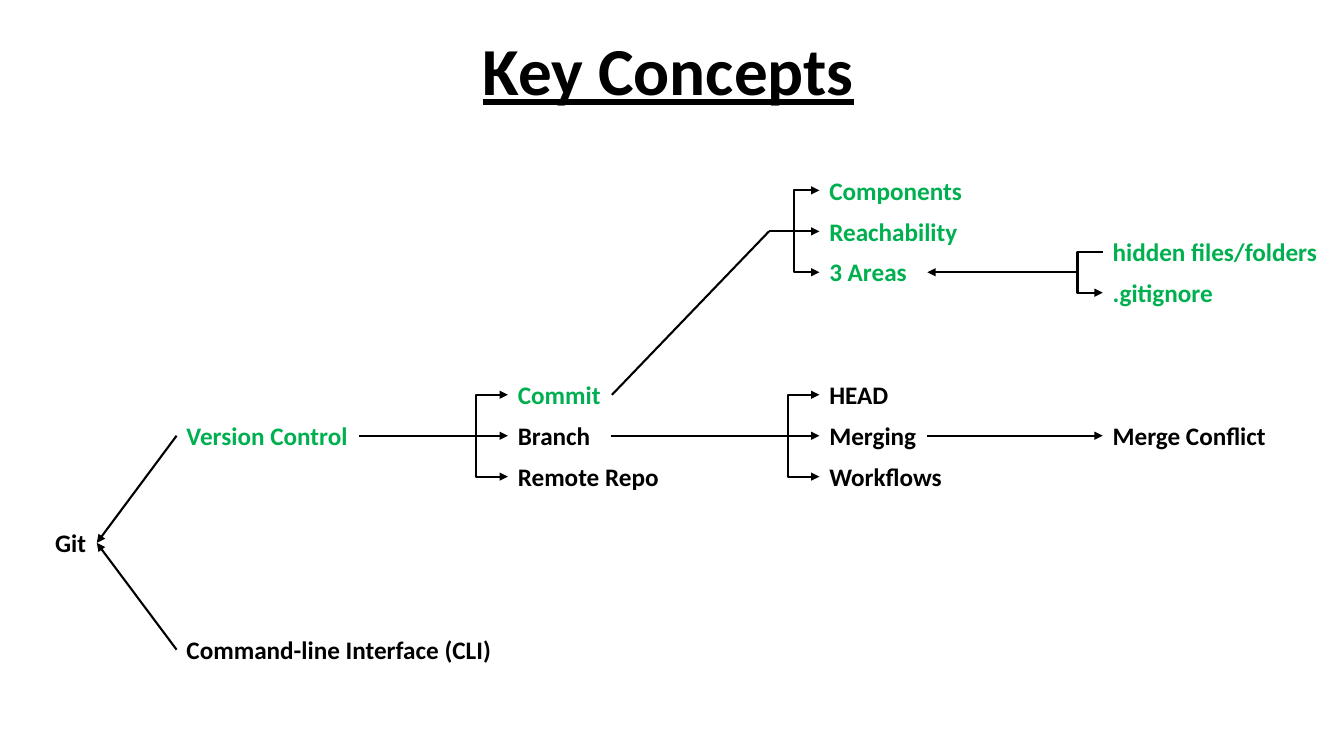
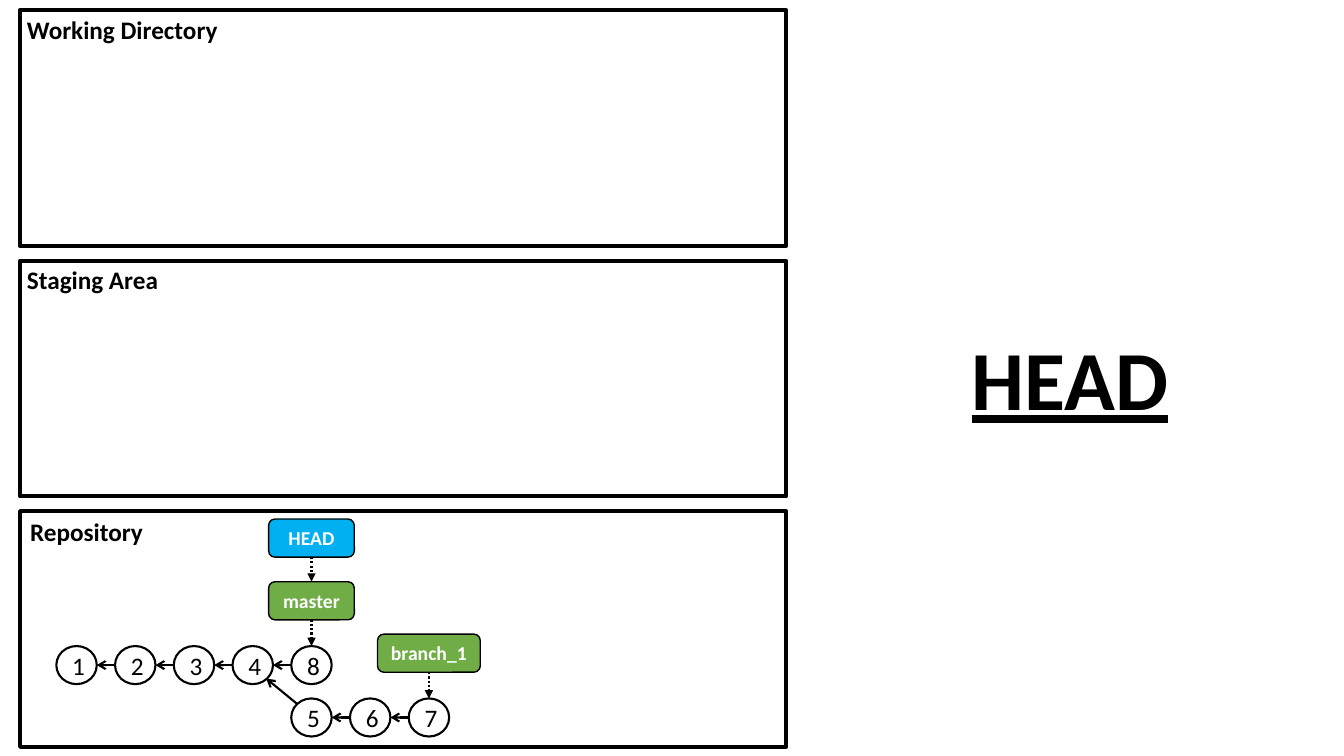
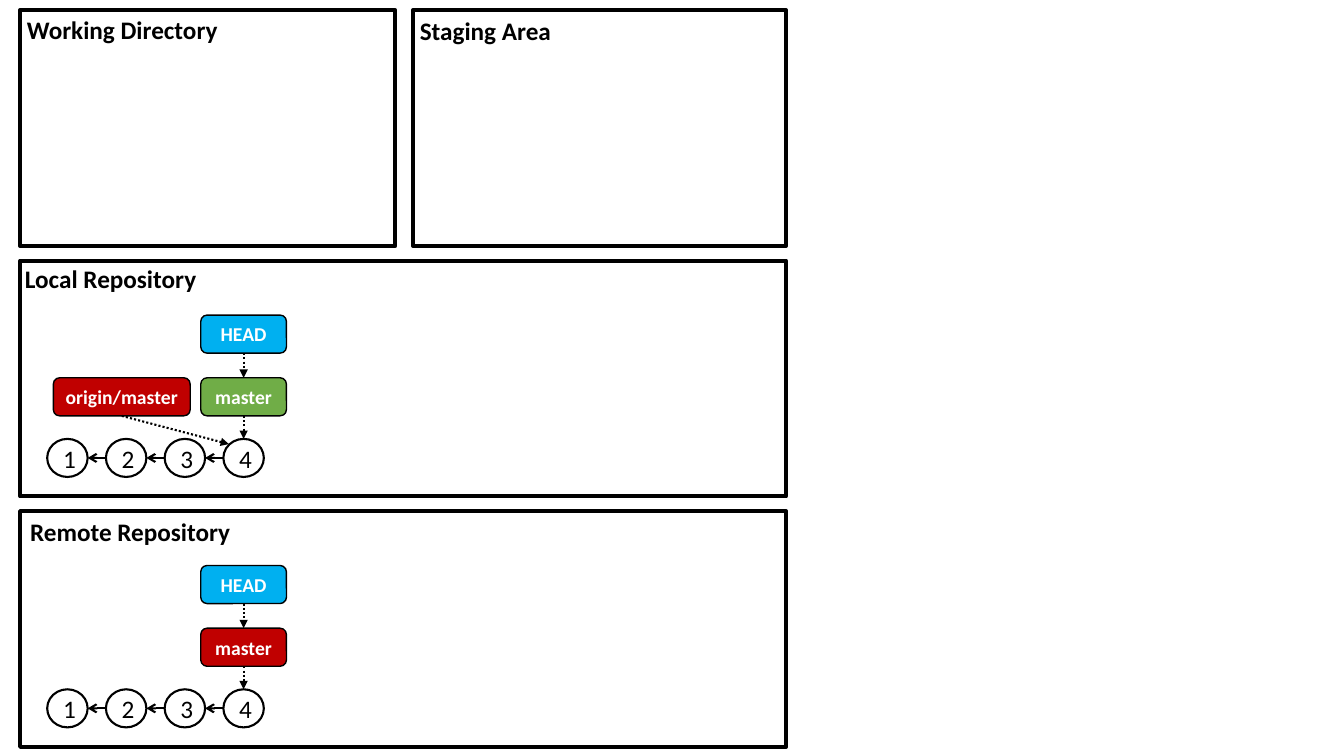
from typing import NamedTuple

from lxml.etree import SubElement
from pptx import Presentation
from pptx.dml.color import RGBColor
from pptx.enum.dml import MSO_LINE
from pptx.enum.shapes import MSO_CONNECTOR as LINK, MSO_SHAPE as SHAPE
from pptx.enum.text import MSO_ANCHOR as ANCHOR, MSO_AUTO_SIZE as AUTO_SIZE, PP_ALIGN as ALIGN
from pptx.oxml.ns import qn
from pptx.util import Cm, Pt

BLACK = RGBColor(0x00, 0x00, 0x00)
WHITE = RGBColor(0xFF, 0xFF, 0xFF)
DONE_GREEN = RGBColor(0x00, 0xB0, 0x50)
HEAD_BLUE = RGBColor(0x00, 0xB0, 0xF0)
BRANCH_GREEN = RGBColor(0x70, 0xAD, 0x47)
REMOTE_RED = RGBColor(0xC0, 0x00, 0x00)

FONT = "Calibri"
TITLE_ONLY, BLANK = 5, 6

# All lengths below are in centimetres
LABEL_H = 1.03
COMMIT_W, COMMIT_H, COMMIT_STEP = 1.02, 0.96, 1.48
REF_W, REF_H, HEAD_RISE = 2.16, 0.96, 1.58
PANEL_X, PANEL_Y, PANEL_W, PANEL_H, PANEL_STEP = 0.51, 0.26, 19.3, 5.94, 6.31


class Box(NamedTuple):
    left: float
    top: float
    width: float
    height: float

    @property
    def right(self):
        return self.left + self.width

    @property
    def middle(self):
        return self.top + self.height / 2

    def lengths(self):
        return [Cm(value) for value in self]


# ---- Shared building parts ----

def write(shape, text, size=18, color=BLACK, bold=False, underline=False, align=ALIGN.LEFT):
    paragraph = shape.text_frame.paragraphs[0]
    paragraph.alignment = align
    run = paragraph.add_run()
    run.text = text
    font = run.font
    font.name, font.size, font.bold, font.underline = FONT, Pt(size), bold, underline
    font.color.rgb = color


def add_title(slide, text, box, size):
    title = slide.shapes.title
    title.left, title.top, title.width, title.height = box.lengths()
    frame = title.text_frame
    frame.auto_size, frame.vertical_anchor, frame.word_wrap = AUTO_SIZE.NONE, ANCHOR.TOP, True
    write(title, text, size=size, bold=True, underline=True)


def add_label(slide, text, box, color=BLACK):
    label = slide.shapes.add_textbox(*box.lengths())
    label.text_frame.word_wrap = False
    write(label, text, color=color, bold=True)


def add_outlined(slide, preset, box, line_width, fill=None):
    shape = slide.shapes.add_shape(preset, *box.lengths())
    shape.shadow.inherit = False
    if fill is None:
        shape.fill.background()
    else:
        shape.fill.solid()
        shape.fill.fore_color.rgb = fill
    shape.line.color.rgb = BLACK
    shape.line.width = Pt(line_width)
    return shape


def add_link(slide, start, end, head="triangle", dotted=False, bend=None):
    """Line from start to end; bend is the share of the width where it turns."""
    kind = LINK.STRAIGHT if bend is None else LINK.ELBOW
    link = slide.shapes.add_connector(kind, *(Cm(value) for value in (*start, *end)))
    link.line.color.rgb = BLACK
    link.line.width = Pt(1.5)
    if dotted:
        link.line.dash_style = MSO_LINE.ROUND_DOT
    properties = link._element.spPr
    if head:
        SubElement(properties.find(qn("a:ln")), qn("a:tailEnd"), type=head)
    if bend is not None:
        geometry = properties.find(qn("a:prstGeom"))
        guides = geometry.find(qn("a:avLst"))
        if guides is None:
            guides = SubElement(geometry, qn("a:avLst"))
        SubElement(guides, qn("a:gd"), name="adj1", fmla=f"val {round(bend * 100000)}")
    SubElement(properties, qn("a:effectLst"))


# ---- Concept map ----

def add_topics(slide, left, first_middle, topics):
    """Stack of (text, width, color) rows; returns the box of each row."""
    boxes = []
    for row, (text, width, color) in enumerate(topics):
        box = Box(left, first_middle + (row - 0.5) * LABEL_H, width, LABEL_H)
        add_label(slide, text, box, color)
        boxes.append(box)
    return boxes


def add_fork(slide, start, targets, bend):
    for target in targets:
        straight = abs(target.middle - start[1]) < 0.05
        add_link(slide, start, (target.left, target.middle), bend=None if straight else bend)


def build_concepts(slide):
    add_title(slide, "Key Concepts", Box(11.91, 0.58, 10.01, 2.31), 48)
    main_y, areas_y = 10.98, 6.86
    column_2, column_3, column_4, column_5 = 4.45, 12.8, 20.65, 27.79

    # Topics, column by column
    [git] = add_topics(slide, 1.14, 13.68, [("Git", 1.3, BLACK)])
    [control] = add_topics(slide, column_2, main_y, [("Version Control", 4.6, DONE_GREEN)])
    [cli] = add_topics(slide, column_2, 16.37, [("Command-line Interface (CLI)", 8.36, BLACK)])
    commit, branch, remote = add_topics(slide, column_3, main_y - LABEL_H, [
        ("Commit", 2.62, DONE_GREEN), ("Branch", 2.59, BLACK), ("Remote Repo", 4.09, BLACK)])
    commit_parts = add_topics(slide, column_4, areas_y - 2 * LABEL_H, [
        ("Components", 3.89, DONE_GREEN), ("Reachability", 3.76, DONE_GREEN),
        ("3 Areas", 2.72, DONE_GREEN)])
    branch_parts = add_topics(slide, column_4, main_y - LABEL_H, [
        ("HEAD", 2.01, BLACK), ("Merging", 2.72, BLACK), ("Workflows", 3.38, BLACK)])
    [conflict] = add_topics(slide, column_5, main_y, [("Merge Conflict", 4.39, BLACK)])
    hidden, ignored = add_topics(slide, column_5, areas_y - LABEL_H / 2, [
        ("hidden files/folders", 5.69, DONE_GREEN), (".gitignore", 3.05, DONE_GREEN)])

    # Links
    for topic in (control, cli):
        add_link(slide, (topic.left, topic.middle), (git.right, git.middle))
    add_fork(slide, (control.right, main_y), (commit, branch, remote), 0.785)
    add_fork(slide, (branch.right, main_y), branch_parts, 0.85)
    merging, areas = branch_parts[1], commit_parts[2]
    add_fork(slide, (merging.right, main_y), [conflict], 0.5)

    parts_joint = (19.38, commit_parts[1].middle)
    add_link(slide, (commit.right, commit.middle), parts_joint, head=None)
    add_fork(slide, parts_joint, commit_parts, 0.5)

    files_joint = (26.52, areas_y)
    add_link(slide, files_joint, (areas.right, areas_y))
    add_link(slide, files_joint, (hidden.left, hidden.middle), head=None, bend=0.5)
    add_fork(slide, files_joint, [ignored], 0.5)


# ---- Repository diagrams ----

def panel_box(row, left=PANEL_X, width=PANEL_W):
    return Box(left, PANEL_Y + row * PANEL_STEP, width, PANEL_H)


def add_panel(slide, box, name, name_width, shift_x=0, shift_y=0):
    add_label(slide, name, Box(box.left + shift_x, box.top + shift_y, name_width, LABEL_H))
    add_outlined(slide, SHAPE.RECTANGLE, box, 3)


def add_commits(slide, left, top, numbers):
    """Row of commits, each pointing at its parent; returns their centres."""
    centres = []
    for index, number in enumerate(numbers):
        box = Box(left + index * COMMIT_STEP, top, COMMIT_W, COMMIT_H)
        circle = add_outlined(slide, SHAPE.FLOWCHART_CONNECTOR, box, 1.5, WHITE)
        write(circle, str(number), align=ALIGN.CENTER)
        if index:
            parent_edge = box.left - COMMIT_STEP + COMMIT_W
            add_link(slide, (box.left, box.middle), (parent_edge, box.middle), head="arrow")
        centres.append(box.left + COMMIT_W / 2)
    return centres


def add_ref(slide, name, fill, centre, top, target, width=REF_W):
    """Named reference with a dotted arrow to the target point."""
    box = Box(centre - width / 2, top, width, REF_H)
    tag = add_outlined(slide, SHAPE.ROUNDED_RECTANGLE, box, 1, fill)
    tag.text_frame.word_wrap = False
    write(tag, name, size=14, color=WHITE, bold=True, align=ALIGN.CENTER)
    add_link(slide, (centre, top + REF_H), target, dotted=True)


def add_head_and_master(slide, centre, master_top, commit_top, master_fill):
    add_ref(slide, "master", master_fill, centre, master_top, (centre, commit_top))
    add_ref(slide, "HEAD", HEAD_BLUE, centre, master_top - HEAD_RISE, (centre, master_top))


def add_branched_history(slide, box):
    trunk_top, branch_top = box.top + 3.4, box.top + 4.72
    trunk_left = box.left + 0.91
    trunk = add_commits(slide, trunk_left, trunk_top, (1, 2, 3, 4, 8))
    branch_left = trunk_left + 4 * COMMIT_STEP
    branch = add_commits(slide, branch_left, branch_top, (5, 6, 7))
    add_link(slide, (branch_left + 0.15, branch_top + 0.14),
             (branch_left - 0.63, trunk_top + 0.82), head="arrow")
    add_ref(slide, "branch_1", BRANCH_GREEN, branch[-1], branch_top - 1.62,
            (branch[-1], branch_top), width=2.59)
    add_head_and_master(slide, trunk[-1], trunk_top - 1.62, trunk_top, BRANCH_GREEN)


def add_linear_history(slide, box, master_fill, tracks_origin=False):
    commit_top, master_top = box.top + 4.49, box.top + 2.95
    tip = add_commits(slide, box.left + 0.68, commit_top, (1, 2, 3, 4))[-1]
    add_head_and_master(slide, tip, master_top, commit_top, master_fill)
    if tracks_origin:
        add_ref(slide, "origin/master", REMOTE_RED, box.left + 2.56, master_top,
                (tip - 0.37, commit_top + 0.13), width=3.45)


def build_head(slide):
    add_title(slide, "HEAD", Box(24.23, 8.1, 5.54, 2.82), 60)
    repository = panel_box(2)
    add_panel(slide, panel_box(0), "Working Directory", 5.38, -0.08, -0.03)
    add_panel(slide, panel_box(1), "Staging Area", 3.86, -0.08, -0.04)
    add_panel(slide, repository, "Repository", 3.35)
    add_branched_history(slide, repository)


def build_remote(slide):
    local, remote = panel_box(1), panel_box(2)
    add_panel(slide, panel_box(0, width=9.45), "Working Directory", 5.38, -0.08, -0.03)
    add_panel(slide, panel_box(0, left=10.41, width=9.4), "Staging Area", 3.86, -0.08)
    add_panel(slide, local, "Local Repository", 4.9, -0.13, -0.07)
    add_panel(slide, remote, "Remote Repository", 5.61)
    add_linear_history(slide, local, BRANCH_GREEN, tracks_origin=True)
    add_linear_history(slide, remote, REMOTE_RED)


def main():
    deck = Presentation()
    deck.slide_width, deck.slide_height = Cm(33.87), Cm(19.05)
    for build, layout in ((build_concepts, TITLE_ONLY), (build_head, TITLE_ONLY),
                          (build_remote, BLANK)):
        build(deck.slides.add_slide(deck.slide_layouts[layout]))
    deck.save("out.pptx")


if __name__ == "__main__":
    main()
